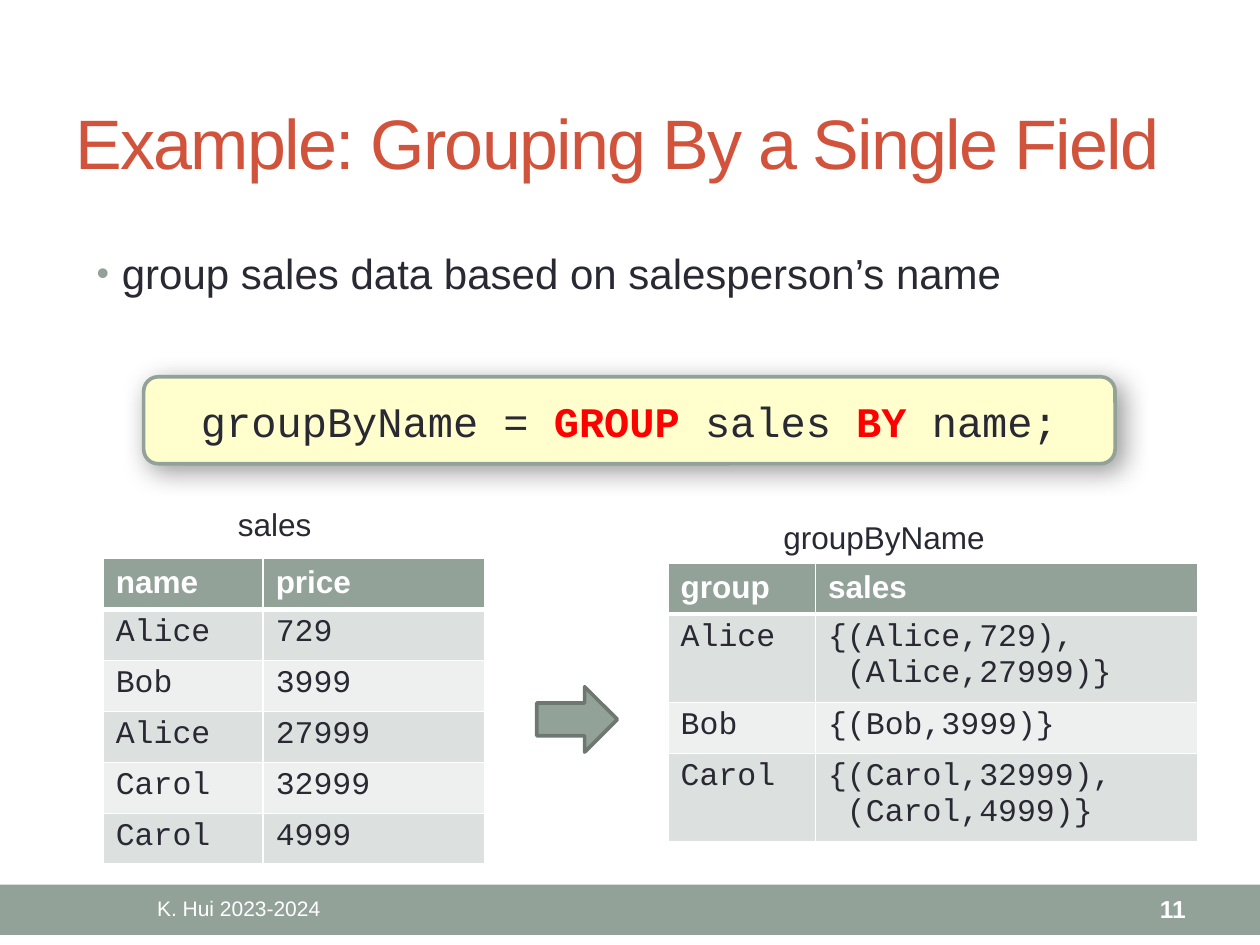
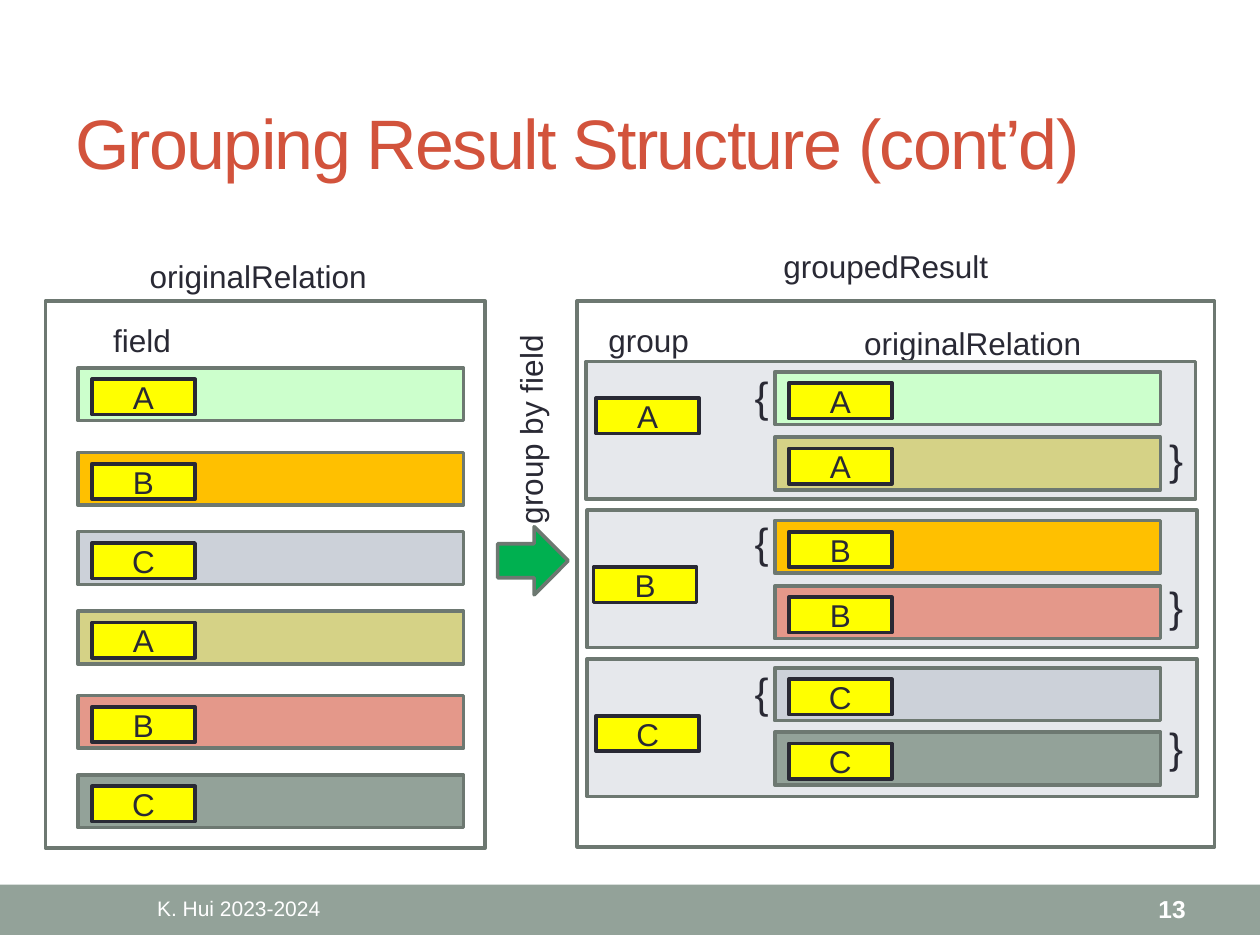
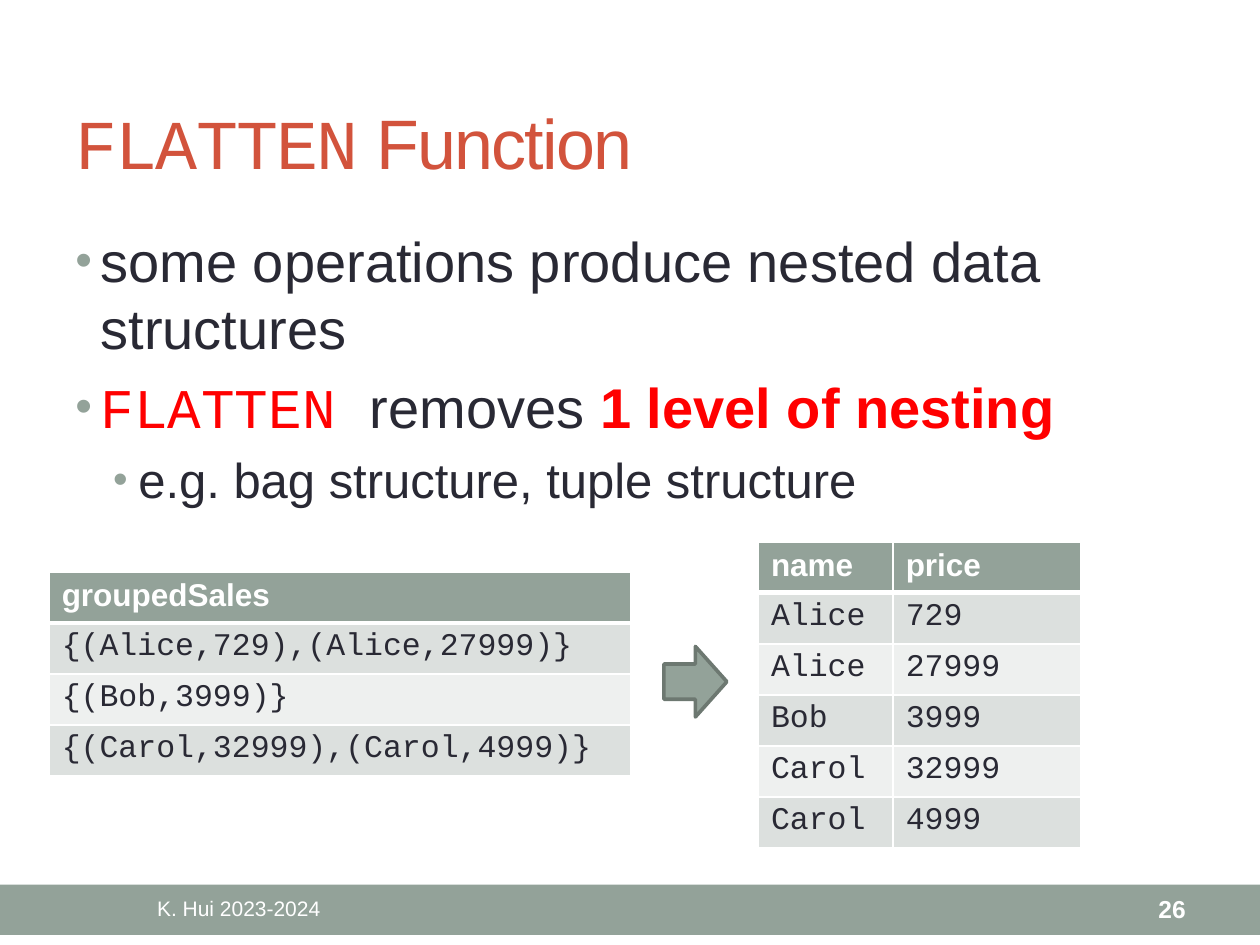
from lxml import etree
from pptx import Presentation
from pptx.dml.color import RGBColor
from pptx.enum.shapes import MSO_SHAPE
from pptx.enum.text import MSO_ANCHOR, PP_ALIGN
from pptx.oxml.ns import qn
from pptx.util import Pt

RECT, ROUND, ARROW = MSO_SHAPE.RECTANGLE, MSO_SHAPE.ROUNDED_RECTANGLE, MSO_SHAPE.RIGHT_ARROW
MIDDLE, TOP = MSO_ANCHOR.MIDDLE, MSO_ANCHOR.TOP
LEFT, CENTER, RIGHT = PP_ALIGN.LEFT, PP_ALIGN.CENTER, PP_ALIGN.RIGHT
SANS, MONO = "Arial", "Courier New"
SAGE, EDGE, INK, RUST, WHITE, RED = "93A299", "6D7871", "292934", "D2533C", "FFFFFF", "FF0000"
STRIPES = ("EEF0EF", "DCE0DE")
YELLOW, PANEL, GREEN, CREAM = "FFFF00", "E6E8EC", "00B050", "FFFECC"
MINT, AMBER, STEEL, OLIVE, SALMON = "CCFFCC", "FFC000", "CCD1D9", "D5D286", "E4988A"
LINE = 2.08
ROW_H = 29.16
RECORD_W, RECORD_H = 220.3, 30.2
TAG_W, TAG_H = 59, 20.2


def color(hex_code):
    """Return the colour for a hex string."""
    return RGBColor.from_string(hex_code)


def box(x, y, w, h):
    """Return a position and size as points."""
    return Pt(x), Pt(y), Pt(w), Pt(h)


def sub(parent, tag, **attrs):
    """Append a DrawingML element with the given attributes."""
    return etree.SubElement(parent, qn(tag), {k: str(v) for k, v in attrs.items()})


def write(p, runs, size, font=SANS, fill=INK, bold=False, spacing=None):
    """Fill a paragraph with a string or with (text, overrides) runs."""
    for text, own in [(runs, {})] if isinstance(runs, str) else runs:
        r = p.add_run()
        r.text = text
        r.font.size = Pt(size)
        r.font.name = own.get("font", font)
        r.font.bold = own.get("bold", bold)
        r.font.color.rgb = color(own.get("fill", fill))
        if spacing:
            r._r.get_or_add_rPr().set("spc", str(spacing * 100))


def add_text(s, runs, bounds, size, align=LEFT, anchor=TOP, wrap=True, **style):
    """Add a text box holding one paragraph."""
    sp = s.shapes.add_textbox(*box(*bounds))
    tf = sp.text_frame
    tf.word_wrap = wrap
    tf.vertical_anchor = anchor
    tf.paragraphs[0].alignment = align
    write(tf.paragraphs[0], runs, size, **style)
    return sp


def add_label(s, text, x, y, w, size=18):
    """Add a one-line label that does not wrap."""
    return add_text(s, text, (x, y, w, size * 1.2 + 7.2), size, wrap=False)


def add_shape(s, kind, bounds, fill=None, line=EDGE):
    """Add a flat preset shape; None leaves out its fill or line."""
    sp = s.shapes.add_shape(kind, *box(*bounds))
    sp.shadow.inherit = False
    if fill:
        sp.fill.solid()
        sp.fill.fore_color.rgb = color(fill)
    else:
        sp.fill.background()
    if line:
        sp.line.color.rgb = color(line)
        sp.line.width = Pt(LINE)
    else:
        sp.line.fill.background()
    return sp


def write_centered(sp, runs, size, **style):
    """Write one centred paragraph in a shape."""
    tf = sp.text_frame
    tf.word_wrap = True
    tf.vertical_anchor = MIDDLE
    tf.paragraphs[0].alignment = CENTER
    write(tf.paragraphs[0], runs, size, **style)


def add_code(s, runs, bounds):
    """Add a rounded code panel with a soft shadow."""
    sp = add_shape(s, ROUND, bounds, CREAM, SAGE)
    effects = sp._element.spPr.find(qn("a:effectLst"))
    shadow = sub(effects, "a:outerShdw", blurRad=Pt(15), dist=Pt(5), dir=45 * 60000,
                 algn="tl", rotWithShape=0)
    sub(sub(shadow, "a:srgbClr", val="000000"), "a:alpha", val=40000)
    write_centered(sp, runs, 24, font=MONO)


def add_bullets(s, items, bounds):
    """Add bulleted paragraphs given as (runs, size, indent)."""
    tf = s.shapes.add_textbox(*box(*bounds)).text_frame
    tf.word_wrap = True
    for i, (runs, size, indent) in enumerate(items):
        p = tf.add_paragraph() if i else tf.paragraphs[0]
        pPr = p._p.get_or_add_pPr()
        pPr.set("marL", str(Pt(indent)))
        pPr.set("indent", str(Pt(-14.4)))
        sub(sub(pPr, "a:buClr"), "a:srgbClr", val=SAGE)
        sub(pPr, "a:buSzPct", val=85000)
        sub(pPr, "a:buFont", typeface=SANS)
        sub(pPr, "a:buChar", char="•")
        if i:
            p.space_before = Pt(size * 0.2)
        write(p, runs, size)


def set_borders(cell, top, bottom):
    """Draw white cell borders ahead of the cell's fill."""
    tcPr = cell._tc.get_or_add_tcPr()
    widths = {"a:lnL": 1, "a:lnR": 1, "a:lnT": top, "a:lnB": bottom}
    for i, (tag, width) in enumerate(widths.items()):
        ln = sub(tcPr, tag, w=Pt(width))
        sub(sub(ln, "a:solidFill"), "a:srgbClr", val=WHITE)
        tcPr.insert(i, ln)


def add_table(s, rows, x, y, widths):
    """Add a striped table whose first row is the header."""
    bounds = box(x, y, sum(widths), ROW_H * len(rows))
    table = s.shapes.add_table(len(rows), len(widths), *bounds).table
    for column, width in zip(table.columns, widths):
        column.width = Pt(width)
    for i, row in enumerate(rows):
        table.rows[i].height = Pt(ROW_H)
        for j, text in enumerate(row):
            cell = table.cell(i, j)
            cell.fill.solid()
            cell.fill.fore_color.rgb = color(STRIPES[i % 2] if i else SAGE)
            set_borders(cell, 3 if i == 1 else 1, 1 if i else 3)
            cell.text = text
            for p in cell.text_frame.paragraphs:
                for r in p.runs:
                    r.font.size = Pt(18)
                    r.font.name = MONO if i else SANS
                    r.font.bold = i == 0
                    r.font.color.rgb = color(INK if i else WHITE)


def add_tag(s, text, x, y):
    """Add a yellow field value."""
    sp = add_shape(s, RECT, (x, y, TAG_W, TAG_H), YELLOW, INK)
    sp.text_frame.margin_top = sp.text_frame.margin_bottom = 0
    write_centered(sp, text, 18)


def add_record(s, text, x, y, fill):
    """Add a record bar with its field value."""
    add_shape(s, RECT, (x, y, RECORD_W, RECORD_H), fill)
    add_tag(s, text, x + 7.9, y + 6.5)


def add_slide(prs, title, number):
    """Add a slide with the shared title, footer band and number."""
    s = prs.slides.add_slide(prs.slide_layouts[6])
    add_shape(s, RECT, (0, 505.5, 720, 28.8), SAGE, None)
    add_text(s, title, (36, 41.8, 648, 77.8), 40, anchor=MIDDLE, fill=RUST, spacing=-1)
    add_text(s, "K. Hui 2023-2024", (36, 506.2, 200.9, 25.9), 12, CENTER, MIDDLE, fill=WHITE)
    add_text(s, str(number), (600.5, 506.2, 84.2, 25.9), 14, RIGHT, MIDDLE,
             fill=WHITE, bold=True)
    return s


def build_single_field(prs):
    """Build the slide on grouping by one field."""
    s = add_slide(prs, "Example: Grouping By a Single Field", 11)
    add_bullets(s, [("group sales data based on salesperson’s name", 24, 14.4)],
                (48.2, 138.2, 648, 64))
    keyword = {"fill": RED, "bold": True}
    add_code(s, [("groupByName = ", {}), ("GROUP ", keyword), ("sales ", {}),
                 ("BY ", keyword), ("name;", {})], (82.1, 215.3, 555.1, 49.7))
    add_label(s, "sales", 128.9, 285.1, 56.9)
    add_table(s, [("name", "price"), ("Alice", "729"), ("Bob", "3999"), ("Alice", "27999"),
                  ("Carol", "32999"), ("Carol", "4999")], 59, 319, (91.4, 126.7))
    add_shape(s, ARROW, (306.7, 392.4, 46.1, 37.4), SAGE)
    add_label(s, "groupByName", 440.6, 292.3, 130.3)
    add_table(s, [("group", "sales"), ("Alice", "{(Alice,729),\n (Alice,27999)}"),
                  ("Bob", "{(Bob,3999)}"), ("Carol", "{(Carol,32999),\n (Carol,4999)}")],
              381.8, 321.8, (84.2, 218.2))


def build_structure(prs):
    """Build the slide on the structure of a grouped result."""
    s = add_slide(prs, "Grouping Result Structure (cont’d)", 13)
    add_label(s, "originalRelation", 78.5, 143.3, 139.7)
    add_label(s, "field", 57.6, 180, 47.5)
    records = [("A", 210.2, MINT), ("B", 258.5, AMBER), ("C", 303.8, STEEL),
               ("A", 349.2, OLIVE), ("B", 397.4, SALMON), ("C", 442.8, SAGE)]
    for text, y, fill in records:
        add_record(s, text, 44.6, y, fill)
    add_shape(s, RECT, (25.9, 172.1, 251.3, 312.5))

    add_label(s, "groupedResult", 440.6, 137.5, 132.5)
    add_label(s, "group", 340.6, 180, 61.2)
    add_label(s, "originalRelation", 486.7, 181.4, 139.7)
    groups = [("A", 334.8, (340.6, 227.5), (212.4, 249.8), (208.1, 244.1), (MINT, OLIVE)),
              ("B", 335.5, (339.1, 324), (297.4, 334.8), (291.6, 328.3), (AMBER, SALMON)),
              ("C", 335.5, (340.6, 409), (381.6, 418.3), (377.3, 409), (STEEL, SAGE))]
    for i, (text, panel_x, key, tops, brace_tops, fills) in enumerate(groups):
        add_shape(s, RECT, (panel_x, 206.6 + 85 * i, 348.5, 78.5), PANEL)
        add_tag(s, text, *key)
        bag = s.shapes.add_group_shape()
        for y, fill in zip(tops, fills):
            add_record(bag, text, 442.8, y, fill)
        for brace, x, y in zip("{}", (424.1, 661), brace_tops):
            add_label(bag, brace, x, y, 22.3, 24)
    add_shape(s, RECT, (329.8, 172.1, 364.3, 311.8))

    add_shape(s, ARROW, (284.4, 301, 40.3, 38.9), GREEN)
    add_label(s, "group by field", 241.2, 230.4, 123.8).rotation = 270


def build_flatten(prs):
    """Build the slide on the FLATTEN function."""
    s = add_slide(prs, [("FLATTEN", {"font": MONO}), (" Function", {})], 26)
    add_bullets(s, [
        ("some operations produce nested data structures", 32, 14.4),
        ([("FLATTEN ", {"font": MONO, "fill": RED}), ("removes ", {}),
          ("1 level of nesting", {"fill": RED, "bold": True})], 32, 14.4),
        ("e.g. bag structure, tuple structure", 28, 36),
    ], (36, 126, 648, 183.6))
    add_table(s, [("groupedSales",), ("{(Alice,729),(Alice,27999)}",), ("{(Bob,3999)}",),
                  ("{(Carol,32999),(Carol,4999)}",)], 28.1, 326.9, (332.6,))
    add_shape(s, ARROW, (379.4, 369.4, 36, 40.3), SAGE)
    add_table(s, [("name", "price"), ("Alice", "729"), ("Alice", "27999"), ("Bob", "3999"),
                  ("Carol", "32999"), ("Carol", "4999")], 433.4, 309.6, (77, 107.3))


def main():
    """Build and save the presentation."""
    prs = Presentation()
    prs.slide_width, prs.slide_height = Pt(720), Pt(540)
    build_single_field(prs)
    build_structure(prs)
    build_flatten(prs)
    prs.save("out.pptx")


if __name__ == "__main__":
    main()
